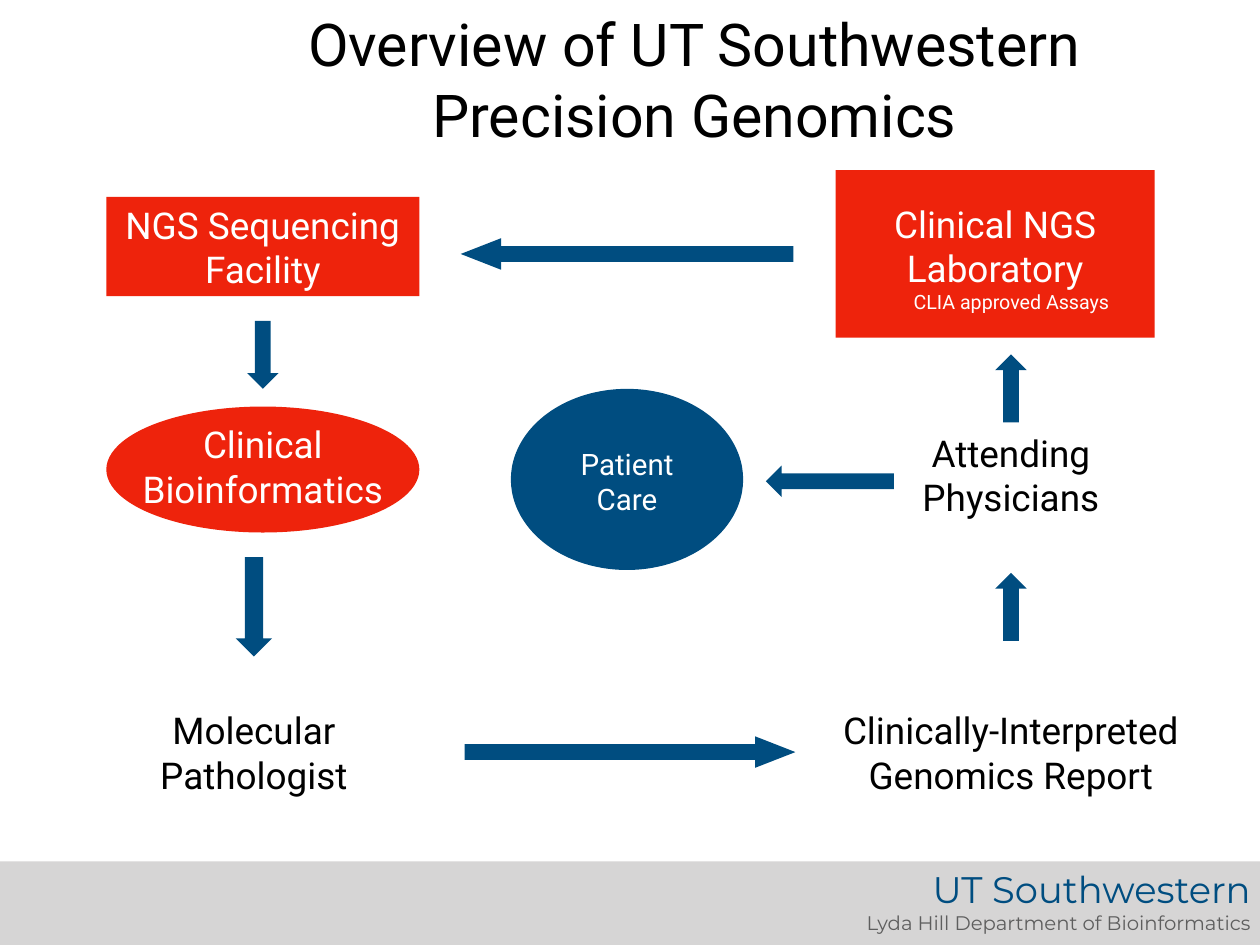
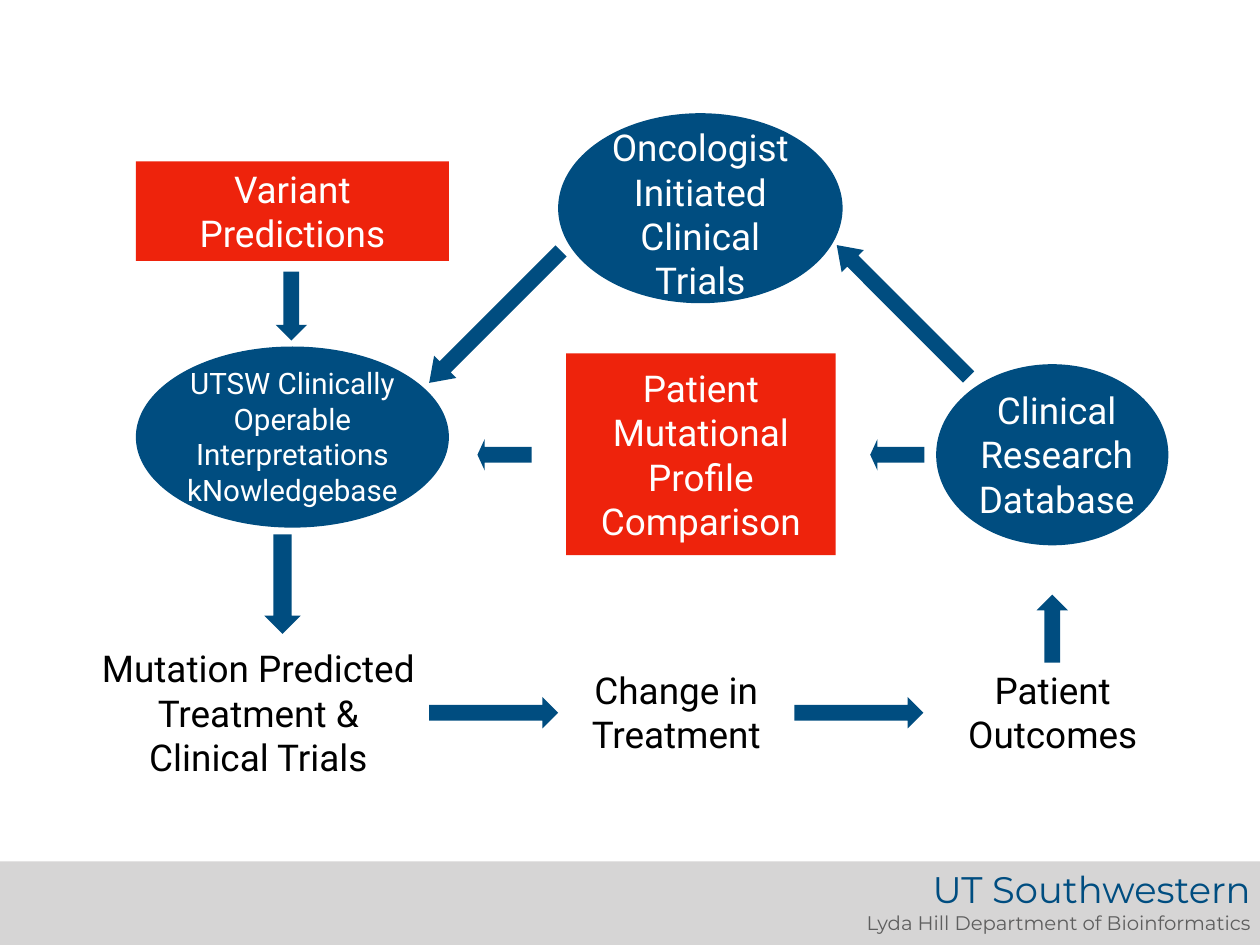
from math import atan2, degrees, hypot

from pptx import Presentation
from pptx.dml.color import RGBColor
from pptx.enum.shapes import MSO_SHAPE
from pptx.enum.text import MSO_ANCHOR, PP_ALIGN
from pptx.util import Inches, Pt

# The slide is a grid of 128 columns by 96 rows of square cells.
COLUMNS, ROWS = 128, 96
CELL = Inches(1) / 9

BLUE = RGBColor(0x00, 0x4D, 0x80)
RED = RGBColor(0xEE, 0x23, 0x0C)
BAND = RGBColor(0xD6, 0xD5, 0xD5)
GREY = RGBColor(0x5E, 0x5E, 0x5E)
BLACK = RGBColor(0x00, 0x00, 0x00)
WHITE = RGBColor(0xFF, 0xFF, 0xFF)

BODY_FONT, FOOTER_FONT = "Roboto", "Montserrat"
BODY_SIZE, SMALL_SIZE = 30, 24
INSET = Inches(0.07)
THIN, THICK = 3.2, 3.7
LONG_HEAD, DIAGONAL_HEAD, SHORT_HEAD = 1.28, 0.72, 0.23


def cells(*lengths):
    return [round(length * CELL) for length in lengths]


def write(frame, *lines, size=BODY_SIZE, color=BLACK, font=BODY_FONT,
          align=PP_ALIGN.CENTER, anchor=MSO_ANCHOR.TOP):
    """Fill a text frame with one paragraph a line; a line is text or (text, size, color)."""
    frame.word_wrap = True
    frame.vertical_anchor = anchor
    frame.margin_left = frame.margin_right = INSET
    frame.margin_top = frame.margin_bottom = INSET
    for index, line in enumerate(lines):
        text, line_size, line_color = (line, size, color) if isinstance(line, str) else line
        para = frame.paragraphs[0] if index == 0 else frame.add_paragraph()
        para.alignment = align
        span = para.add_run()
        span.text = text
        span.font.name = font
        span.font.size = Pt(line_size)
        span.font.color.rgb = line_color


def label(page, place, *lines, **style):
    box = page.shapes.add_textbox(*cells(*place))
    write(box.text_frame, *lines, **style)


def block(page, kind, place, color):
    shape = page.shapes.add_shape(kind, *cells(*place))
    shape.shadow.inherit = False
    shape.fill.solid()
    shape.fill.fore_color.rgb = color
    shape.line.fill.background()
    return shape


def red_box(page, place, *lines):
    shape = block(page, MSO_SHAPE.RECTANGLE, place, RED)
    if lines:
        write(shape.text_frame, *lines, color=WHITE, anchor=MSO_ANCHOR.MIDDLE)


def oval(page, place, text_place, *lines, fill=BLUE, size=BODY_SIZE):
    """Draw an ellipse with its words in a box wider than the ellipse's own text area."""
    block(page, MSO_SHAPE.OVAL, place, fill)
    label(page, text_place, *lines, size=size, color=WHITE, anchor=MSO_ANCHOR.MIDDLE)


def arrow(page, tail, tip, width=THIN, head=0.5):
    """Draw a block arrow; head is the length of its head as a share of its width."""
    across, down = tip[0] - tail[0], tip[1] - tail[1]
    length = hypot(across, down)
    left = (tail[0] + tip[0] - width) / 2
    top = (tail[1] + tip[1] - length) / 2
    shape = block(page, MSO_SHAPE.DOWN_ARROW, (left, top, width, length), BLUE)
    shape.adjustments[0] = 0.5
    shape.adjustments[1] = head
    shape.rotation = degrees(atan2(-across, down)) % 360


def add_page(deck):
    """Add a blank slide with the footer band."""
    page = deck.slides.add_slide(deck.slide_layouts[6])
    block(page, MSO_SHAPE.RECTANGLE, (0, 87.5, COLUMNS, ROWS - 87.5), BAND)
    label(page, (83.9, 86.9, 43.8, 9.1),
          ("UT Southwestern", 30, BLUE),
          ("Lyda Hill Department of Bioinformatics", 16, GREY),
          font=FOOTER_FONT, align=PP_ALIGN.RIGHT, anchor=MSO_ANCHOR.MIDDLE)
    return page


def add_overview(deck):
    page = add_page(deck)
    label(page, (28.9, 0.1, 83.3, 15.8),
          "Overview of UT Southwestern Precision Genomics", size=48)

    red_box(page, (10.8, 20, 31.8, 10.1), "NGS Sequencing Facility")
    oval(page, (10.8, 41.3, 31.8, 12.8), (13, 42.2, 27.4, 10.3),
         "Clinical Bioinformatics", fill=RED)
    oval(page, (51.9, 39.5, 23.6, 18.4), (57.9, 44.6, 11.6, 8.6),
         "Patient", "Care", size=SMALL_SIZE)
    red_box(page, (84.9, 17.3, 32.4, 17))
    label(page, (87.4, 19.8, 27.4, 10.3), "Clinical NGS Laboratory", color=WHITE)
    label(page, (91.4, 28.8, 22.7, 3.7), "CLIA approved Assays", size=16, color=WHITE)
    label(page, (15.5, 71.3, 20.6, 10.3), "Molecular Pathologist")
    label(page, (83.8, 71.3, 37.8, 10.3), "Clinically-Interpreted Genomics Report")
    label(page, (90.9, 43.1, 23.6, 10.3), "Attending Physicians")

    arrow(page, (80.6, 25.8), (46.8, 25.8), head=LONG_HEAD)
    arrow(page, (26.7, 32.6), (26.7, 39.5))
    arrow(page, (25.8, 56.6), (25.8, 66.7), width=THICK)
    arrow(page, (47.2, 76.4), (80.8, 76.4), head=LONG_HEAD)
    arrow(page, (90.8, 48.9), (77.8, 48.9))
    for bottom in (42.9, 65.1):
        arrow(page, (102.7, bottom), (102.7, bottom - 6.9))


def add_knowledge_cycle(deck):
    page = add_page(deck)
    red_box(page, (13.8, 16.4, 31.8, 10.1), "Variant Predictions")
    red_box(page, (57.5, 35.9, 27.4, 20.5), "Patient Mutational Profile Comparison")
    oval(page, (13.8, 35.2, 31.8, 18.4), (16, 36.4, 27.4, 15.8),
         "UTSW Clinically Operable Interpretations kNowledgebase", size=SMALL_SIZE)
    oval(page, (95.1, 37, 23.6, 18.4), (96, 38.9, 22.7, 14.5),
         "Clinical Research Database")
    oval(page, (56.7, 11.5, 28.9, 19.3), (59.8, 12.2, 22.7, 19),
         "Oncologist Initiated Clinical Trials")
    label(page, (9.4, 65, 33.7, 14.8), "Mutation Predicted", "Treatment & Clinical Trials")
    label(page, (58.4, 67.2, 20.6, 10.3), "Change in Treatment")
    label(page, (95.6, 67.2, 22.7, 10.3), "Patient Outcomes")

    arrow(page, (29.6, 27.6), (29.6, 34.6))
    arrow(page, (28.7, 54.3), (28.7, 64.4), width=THICK)
    for start in (43.6, 80.7):
        arrow(page, (start, 72.4), (start + 13.1, 72.4))
    arrow(page, (106.9, 67.3), (106.9, 60.4))
    for start in (93.9, 54):
        arrow(page, (start, 46.2), (start - 5.5, 46.2), head=SHORT_HEAD)
    arrow(page, (98.4, 38.3), (85, 24.9), head=DIAGONAL_HEAD)
    arrow(page, (57, 25.5), (43.6, 38.9), head=DIAGONAL_HEAD)


def main():
    deck = Presentation()
    deck.slide_width, deck.slide_height = cells(COLUMNS, ROWS)
    add_overview(deck)
    add_knowledge_cycle(deck)
    deck.save("out.pptx")


if __name__ == "__main__":
    main()
